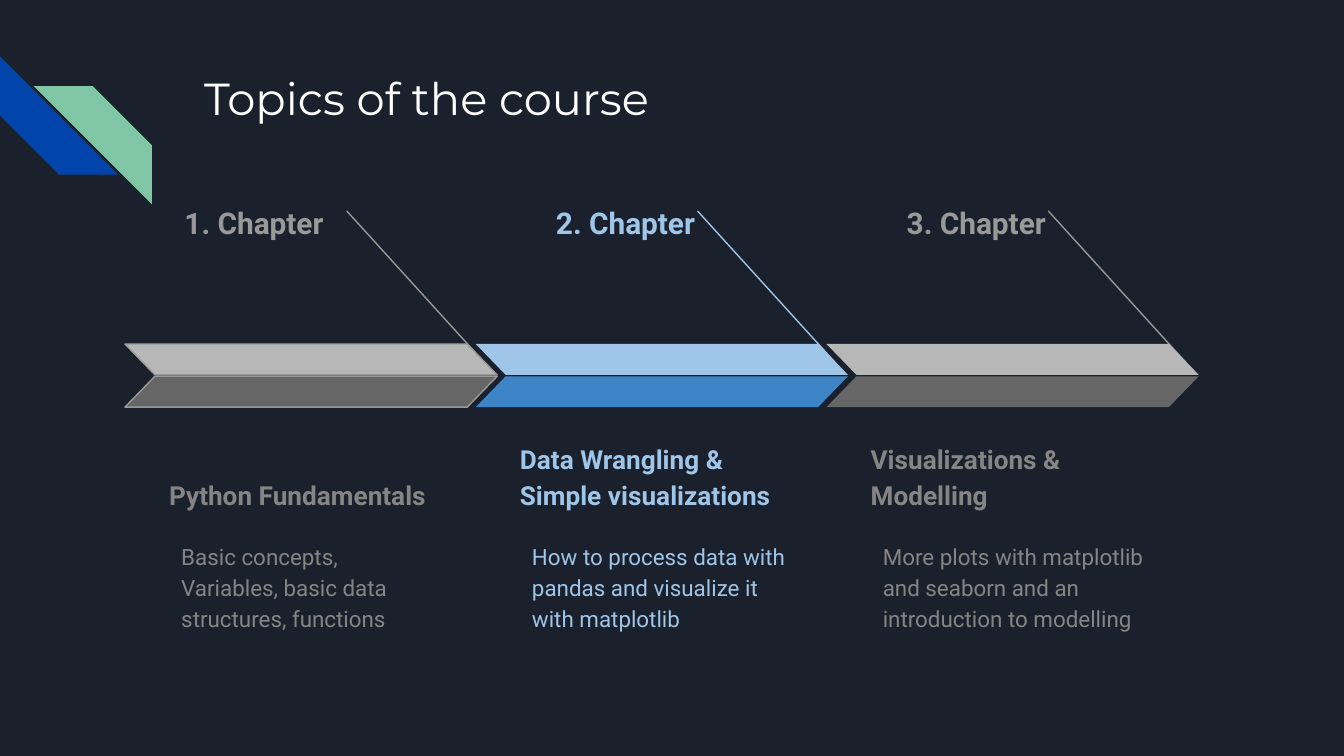
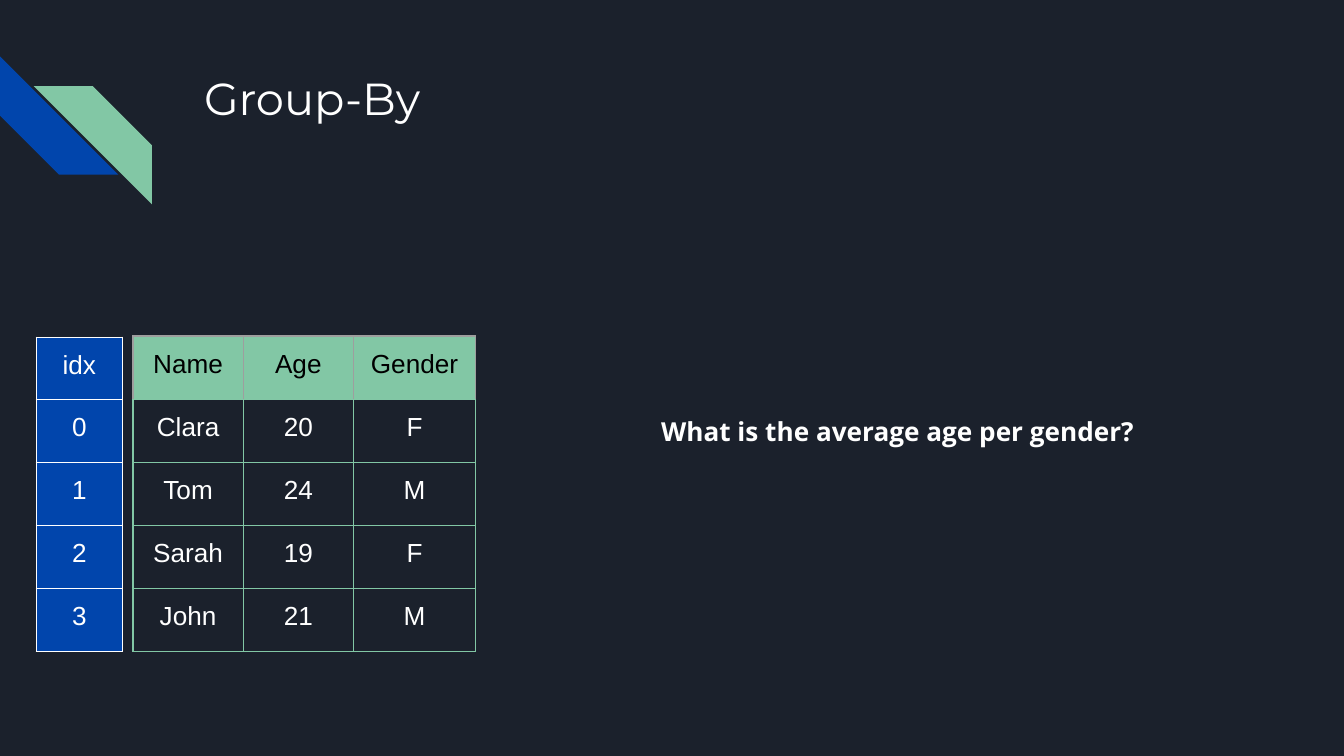
from dataclasses import dataclass

from lxml import etree
from pptx import Presentation
from pptx.dml.color import RGBColor
from pptx.enum.shapes import MSO_CONNECTOR, MSO_SHAPE
from pptx.enum.text import MSO_ANCHOR, PP_ALIGN
from pptx.oxml.ns import qn
from pptx.util import Inches, Pt

STRIPE, BAR = MSO_SHAPE.DIAGONAL_STRIPE, MSO_SHAPE.PARALLELOGRAM
STRAIGHT = MSO_CONNECTOR.STRAIGHT
TOP, BOTTOM = MSO_ANCHOR.TOP, MSO_ANCHOR.BOTTOM
LEFT, CENTER, RIGHT = PP_ALIGN.LEFT, PP_ALIGN.CENTER, PP_ALIGN.RIGHT


@dataclass(frozen=True)
class Theme:
    background: str = "1B212C"
    white: str = "FFFFFF"
    black: str = "000000"
    blue: str = "0145AC"
    green: str = "82C7A5"
    header_edge: str = "9E9E9E"
    muted_label: str = "999999"
    muted_text: str = "858585"
    muted_light: str = "B7B7B7"
    muted_dark: str = "666666"
    active_light: str = "9FC5E8"
    active_dark: str = "3D85C6"
    title_font: str = "Montserrat"
    body_font: str = "Roboto"
    table_font: str = "Arial"
    question_font: str = "Open Sans"
    title_size: int = 24
    label_size: int = 16
    heading_size: int = 14
    body_size: int = 12
    line_width: float = 0.75


T = Theme()

SLIDE_WIDTH = 10
SLIDE_HEIGHT = SLIDE_WIDTH * 9 / 16

CHAPTER_LEFT, CHAPTER_PITCH = 0.93, 2.61
CHAPTERS = [
    ("1. Chapter", "Python Fundamentals",
     "Basic concepts,\nVariables, basic data structures, functions"),
    ("2. Chapter", "Data Wrangling & Simple visualizations",
     "How to process data with pandas and visualize it with matplotlib"),
    ("3. Chapter", "Visualizations & Modelling",
     "More plots with matplotlib and seaborn and an introduction to modelling"),
]
ACTIVE_CHAPTER = 1

PEOPLE = [
    ("Name", "Age", "Gender"),
    ("Clara", "20", "F"),
    ("Tom", "24", "M"),
    ("Sarah", "19", "F"),
    ("John", "21", "M"),
]
INDEX = [("idx",), ("0",), ("1",), ("2",), ("3",)]


def rgb(color):
    return RGBColor.from_string(color)


def box(*lengths):
    return [Inches(n) for n in lengths]


def add_run(p, text, font, size, color, bold=False):
    r = p.add_run()
    r.text = text
    r.font.name = font
    r.font.size = Pt(size)
    r.font.bold = bold
    r.font.color.rgb = rgb(color)


def add_text(shapes, at, text, font, size, color, bold=False, align=LEFT,
             anchor=TOP, spacing=None, after=None, indent=None):
    tf = shapes.add_textbox(*box(*at)).text_frame
    tf.word_wrap = True
    tf.vertical_anchor = anchor
    tf.margin_left = tf.margin_right = Inches(0.1)
    tf.margin_top = tf.margin_bottom = Inches(0.1)
    p = tf.paragraphs[0]
    p.alignment = align
    if spacing:
        p.line_spacing = spacing
    if after:
        p.space_after = Pt(after)
    if indent:
        p._p.get_or_add_pPr().set("marL", str(Inches(indent)))
    for i, line in enumerate(text.split("\n")):
        if i:
            p.add_line_break()
        add_run(p, line, font, size, color, bold)


def add_shape(shapes, kind, at, fill, adjust, line=None, flip=False, rotation=0):
    sp = shapes.add_shape(kind, *box(*at))
    sp.shadow.inherit = False
    sp.adjustments[0] = adjust
    sp.rotation = rotation
    sp.fill.solid()
    sp.fill.fore_color.rgb = rgb(fill)
    if line:
        sp.line.color.rgb = rgb(line)
        sp.line.width = Pt(T.line_width)
    else:
        sp.line.fill.background()
    if flip:
        sp.element.spPr.find(qn("a:xfrm")).set("flipH", "1")


def add_line(shapes, ends, color):
    line = shapes.add_connector(STRAIGHT, *box(*ends))
    line.line.color.rgb = rgb(color)
    line.line.width = Pt(T.line_width)
    etree.SubElement(line.element.spPr, qn("a:effectLst"))


def set_borders(cell, side_color, top_color, bottom_color):
    tcPr = cell._tc.get_or_add_tcPr()
    edges = {"L": side_color, "R": side_color, "T": top_color, "B": bottom_color}
    for side, color in edges.items():
        ln = etree.SubElement(tcPr, qn(f"a:ln{side}"), w=str(Pt(T.line_width)))
        fill = etree.SubElement(ln, qn("a:solidFill"))
        etree.SubElement(fill, qn("a:srgbClr"), val=color)


def add_table(slide, left, top, widths, heights, rows, edge, header_edge,
              header, body):
    """Draw rows; header and body are (fill or None, text colour) pairs."""
    frame = slide.shapes.add_table(
        len(rows), len(widths), *box(left, top, sum(widths), sum(heights)))
    table = frame.table
    table.first_row = table.horz_banding = False
    for column, width in zip(table.columns, widths):
        column.width = Inches(width)
    for i, (row, height) in enumerate(zip(rows, heights)):
        table.rows[i].height = Inches(height)
        fill, color = body if i else header
        upper = edge if i else header_edge
        for j, text in enumerate(row):
            cell = table.cell(i, j)
            cell.margin_left = cell.margin_right = Inches(0.1)
            cell.margin_top = cell.margin_bottom = Inches(0.1)
            set_borders(cell, upper, upper, edge)
            if fill:
                cell.fill.solid()
                cell.fill.fore_color.rgb = rgb(fill)
            else:
                cell.fill.background()
            p = cell.text_frame.paragraphs[0]
            p.alignment = CENTER
            add_run(p, text, T.table_font, T.heading_size, color)


def new_slide(prs, title):
    """Add a slide with the shared background, corner stripes and title."""
    slide = prs.slides.add_slide(prs.slide_layouts[6])
    slide.background.fill.solid()
    slide.background.fill.fore_color.rgb = rgb(T.background)
    corner = slide.shapes.add_group_shape().shapes
    add_shape(corner, STRIPE, (0, 0.42, 0.88, 0.88), T.blue, 0.5, rotation=270)
    add_shape(corner, STRIPE, (0.25, 0.64, 0.88, 0.88), T.green, 0.5, flip=True)
    add_text(slide.shapes, (1.42, 0.43, 7.7, 1), title,
             T.title_font, T.title_size, T.white)
    return slide


def add_chapter(slide, index, label, heading, body):
    left = CHAPTER_LEFT + CHAPTER_PITCH * index
    if index == ACTIVE_CHAPTER:
        label_color = text_color = light = T.active_light
        dark = T.active_dark
    else:
        label_color, text_color = T.muted_label, T.muted_text
        light, dark = T.muted_light, T.muted_dark
    first = index == 0
    outline = label_color if first else None
    shapes = slide.shapes.add_group_shape().shapes

    if first:
        label_at, align, indent = (left - 0.3, 1.38, 2.02, 0.39), CENTER, 0.5
    else:
        label_at, align, indent = (left + 0.38, 1.38, 1.35, 0.39), RIGHT, None
    add_text(shapes, label_at, label, T.body_font, T.label_size, label_color,
             bold=True, align=align, spacing=1.15, after=16, indent=indent)
    add_text(shapes, (left + 0.23, 3.18, 2.27, 0.72), heading, T.body_font,
             T.heading_size, text_color, bold=True, anchor=BOTTOM, spacing=1.15)
    add_text(shapes, (left + 0.32, 3.91, 2.21, 0.87), body, T.body_font,
             T.body_size, text_color, spacing=1.15, after=16)
    add_line(shapes, (left + 1.65, 1.57, left + 2.74, 2.77), label_color)
    add_shape(shapes, BAR, (left, 2.56, 2.77, 0.23), light, 0.97, outline, flip=True)
    add_shape(shapes, BAR, (left, 2.8, 2.77, 0.23), dark, 0.97, outline)


def build_topics(prs):
    slide = new_slide(prs, "Topics of the course")
    for index, chapter in enumerate(CHAPTERS):
        add_chapter(slide, index, *chapter)


def build_group_by(prs):
    slide = new_slide(prs, "Group-By")
    add_table(slide, 0.99, 2.5, [0.82, 0.82, 0.91], [0.47] * 5, PEOPLE,
              T.green, T.header_edge, (T.green, T.black), (None, T.white))
    add_table(slide, 0.27, 2.51, [0.64], [0.46] + [0.47] * 4, INDEX,
              T.white, T.white, (T.blue, T.white), (T.blue, T.white))
    add_text(slide.shapes, (4.82, 2.99, 3.81, 0.44),
             "What is the average age per gender?",
             T.question_font, T.heading_size, T.white, bold=True)


def main():
    prs = Presentation()
    prs.slide_width, prs.slide_height = box(SLIDE_WIDTH, SLIDE_HEIGHT)
    build_topics(prs)
    build_group_by(prs)
    prs.save("out.pptx")


if __name__ == "__main__":
    main()
